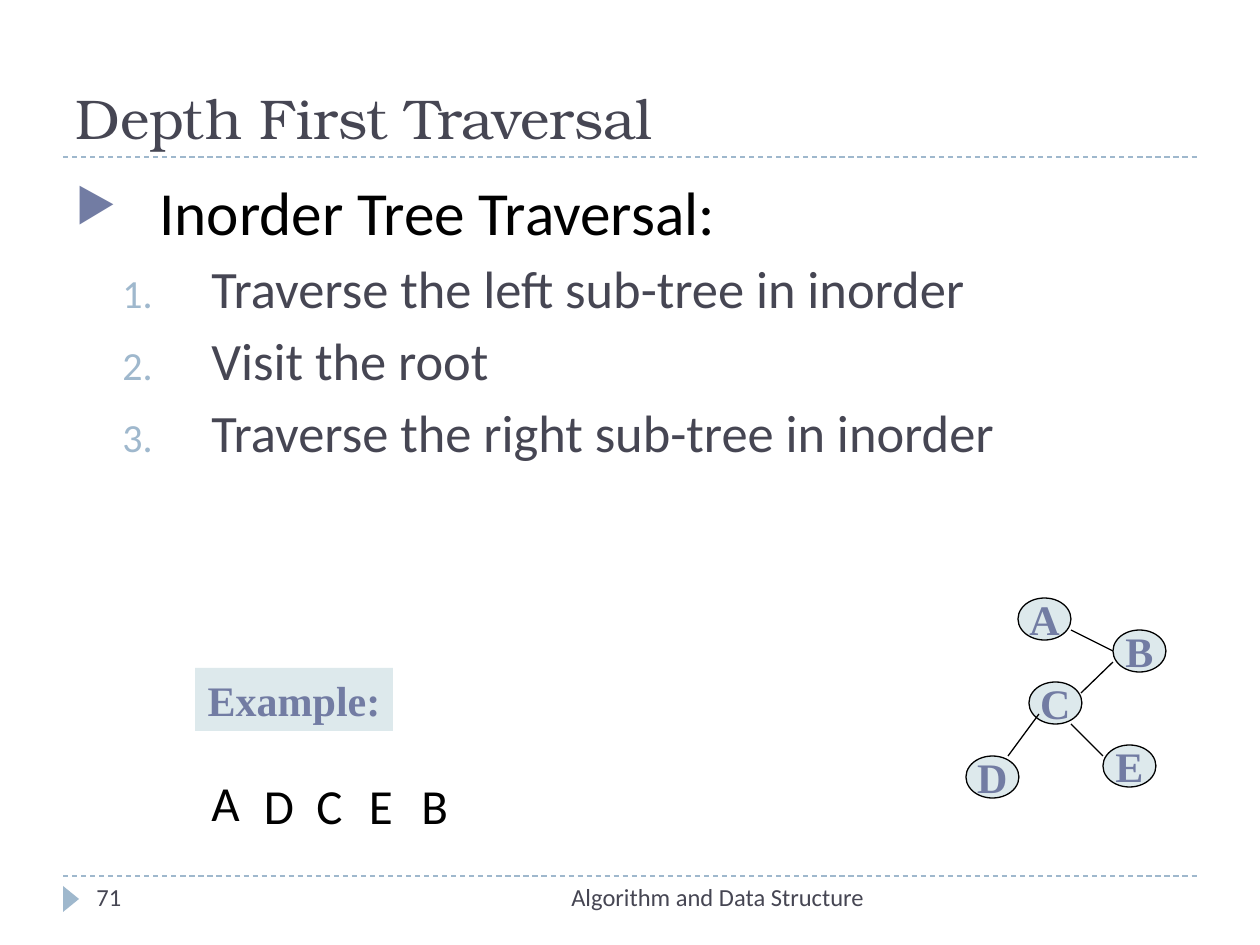
from dataclasses import dataclass

from lxml import etree
from pptx import Presentation
from pptx.dml.color import RGBColor
from pptx.enum.dml import MSO_LINE
from pptx.enum.shapes import MSO_CONNECTOR, MSO_SHAPE
from pptx.enum.text import MSO_ANCHOR, MSO_AUTO_SIZE, PP_ALIGN
from pptx.oxml.ns import qn
from pptx.util import Pt

STRAIGHT = MSO_CONNECTOR.STRAIGHT
DASH = MSO_LINE.DASH
RECTANGLE, ELLIPSE, TRIANGLE = MSO_SHAPE.RECTANGLE, MSO_SHAPE.OVAL, MSO_SHAPE.ISOSCELES_TRIANGLE
TOP, MIDDLE, BOTTOM = MSO_ANCHOR.TOP, MSO_ANCHOR.MIDDLE, MSO_ANCHOR.BOTTOM
LEFT, CENTER, RIGHT = PP_ALIGN.LEFT, PP_ALIGN.CENTER, PP_ALIGN.RIGHT
FIT_SHAPE = MSO_AUTO_SIZE.SHAPE_TO_FIT_TEXT
EMU_PER_PX = 914400 / 126


@dataclass(frozen=True)
class Theme:
    """Colours, fonts and type sizes of the slide."""

    ink: str = "000000"
    slate: str = "464653"
    accent: str = "727CA3"
    mist: str = "9FB8CD"
    pale: str = "DDE9EC"
    title_font: str = "TeX Gyre Bonum"
    body_font: str = "Calibri"
    label_font: str = "Times New Roman"
    title_size: int = 32
    heading_size: int = 35
    step_size: int = 30
    output_size: int = 28
    label_size: int = 24
    footer_size: int = 14
    hairline: float = 0.75


THEME = Theme()


def px(length):
    """Turn a length in px into EMU."""
    return round(length * EMU_PER_PX)


def write(paragraph, text, *, size, color, font=THEME.body_font, bold=False, align=LEFT, before=0):
    """Write one formatted run into a paragraph."""
    paragraph.alignment = align
    paragraph.space_before = Pt(before)
    run = paragraph.add_run()
    run.text = text
    run.font.name = font
    run.font.size = Pt(size)
    run.font.bold = bold
    run.font.color.rgb = RGBColor.from_string(color)


def add_text_box(shapes, box, anchor=TOP):
    """Add a wrapping text box and return its text frame."""
    frame = shapes.add_textbox(*map(px, box)).text_frame
    frame.word_wrap = True
    frame.vertical_anchor = anchor
    return frame


def add_filled(shapes, kind, box, fill, outline=None):
    """Add a flat preset shape with an optional outline."""
    shape = shapes.add_shape(kind, *map(px, box))
    shape.shadow.inherit = False
    shape.fill.solid()
    shape.fill.fore_color.rgb = RGBColor.from_string(fill)
    if outline:
        shape.line.color.rgb = RGBColor.from_string(outline)
        shape.line.width = Pt(THEME.hairline)
    else:
        shape.line.fill.background()
    return shape


def add_label(shape, text):
    """Centre a bold label in a shape."""
    frame = shape.text_frame
    frame.word_wrap = False
    frame.vertical_anchor = MIDDLE
    write(frame.paragraphs[0], text, size=THEME.label_size, color=THEME.accent,
          font=THEME.label_font, bold=True, align=CENTER)


def add_line(shapes, start, end, color, dash=None):
    """Draw a thin straight line without a shadow."""
    line = shapes.add_connector(STRAIGHT, *map(px, (*start, *end)))
    line.line.color.rgb = RGBColor.from_string(color)
    line.line.width = Pt(THEME.hairline)
    if dash:
        line.line.dash_style = dash
    etree.SubElement(line._element.spPr, qn("a:effectLst"))


def set_bullet(paragraph, color, margin, hanging, kind, **attributes):
    """Give a paragraph a coloured bullet and a hanging indent."""
    properties = paragraph._p.get_or_add_pPr()
    properties.set("marL", str(px(margin)))
    properties.set("indent", str(-px(hanging)))
    bullet_color = etree.SubElement(properties, qn("a:buClr"))
    etree.SubElement(bullet_color, qn("a:srgbClr"), val=color)
    etree.SubElement(properties, qn("a:buSzPct"), val="76000")
    etree.SubElement(properties, qn(kind), **attributes)


def draw_title(slide, box):
    """Place the title above its dashed rule."""
    left, top, width, height = box
    add_line(slide.shapes, (left, top + height), (left + width, top + height), THEME.mist, DASH)
    frame = add_text_box(slide.shapes, box, BOTTOM)
    write(frame.paragraphs[0], "Depth First Traversal", size=THEME.title_size,
          color=THEME.slate, font=THEME.title_font)


def draw_steps(slide, box):
    """Place the heading and its numbered steps."""
    frame = add_text_box(slide.shapes, box)
    heading = frame.paragraphs[0]
    write(heading, "Inorder Tree Traversal:", size=THEME.heading_size, color=THEME.ink, before=6)
    set_bullet(heading, THEME.accent, 84, 84, "a:buChar", char="▶")
    for text in ("Traverse the left sub-tree in inorder", "Visit the root",
                 "Traverse the right sub-tree in inorder"):
        step = frame.add_paragraph()
        step.level = 1
        write(step, text, size=THEME.step_size, color=THEME.slate, before=5)
        set_bullet(step, THEME.mist, 136, 89, "a:buAutoNum", type="arabicPeriod")


def draw_example(slide, box):
    """Place the example label and the visited nodes in order."""
    left, top, width, height = box
    label = add_filled(slide.shapes, RECTANGLE, (left, top, width, 63), THEME.pale)
    add_label(label, "Example:")
    for index, letter in enumerate("ADCEB"):
        drop = 98 if index == 0 else 101
        frame = add_text_box(slide.shapes, (left + 4 + index * 52.5, top + drop, 73, height - 101))
        frame.auto_size = FIT_SHAPE
        write(frame.paragraphs[0], letter, size=THEME.output_size, color=THEME.ink)


def draw_tree(slide, box):
    """Draw the binary tree as one group of nodes and edges."""
    left, top = box[:2]
    nodes = {"A": (52, 0), "B": (147, 32), "C": (63, 84), "E": (137, 147), "D": (0, 158)}
    edges = (((105, 32), (147, 53)), ((147, 64), (115, 95)),
             ((105, 126), (137, 158)), ((73, 116), (42, 158)))
    shapes = slide.shapes.add_group_shape().shapes
    for letter, (x, y) in nodes.items():
        node = add_filled(shapes, ELLIPSE, (left + x, top + y, 53, 42), THEME.pale, THEME.ink)
        add_label(node, letter)
    for edge in edges:
        start, end = ((left + x, top + y) for x, y in edge)
        add_line(shapes, start, end, THEME.ink)


def draw_footer(slide, box):
    """Place the footer rule, marker, page number and course name."""
    left, top, width, height = box
    add_line(slide.shapes, (left, top), (left + width, top), THEME.mist, DASH)
    marker = add_filled(slide.shapes, TRIANGLE, (left - 5, top + 15, 26, 16), THEME.mist)
    marker.rotation = 90
    for text, offset, span, align in (("Algorithm and Data Structure ", 336, 483, RIGHT),
                                      ("71", 21, 273, LEFT)):
        frame = add_text_box(slide.shapes, (left + offset, top, span, height))
        write(frame.paragraphs[0], text, size=THEME.footer_size, color=THEME.slate, align=align)


def main():
    """Build and save the slide."""
    presentation = Presentation()
    presentation.slide_width = px(1260)
    presentation.slide_height = px(945)
    slide = presentation.slides.add_slide(presentation.slide_layouts[6])
    draw_title(slide, (63, 21, 1134, 136))
    draw_steps(slide, (63, 168, 1134, 680))
    draw_example(slide, (195, 668, 198, 173))
    draw_tree(slide, (966, 598, 200, 200))
    draw_footer(slide, (63, 876, 1134, 50))
    presentation.save("out.pptx")


if __name__ == "__main__":
    main()
